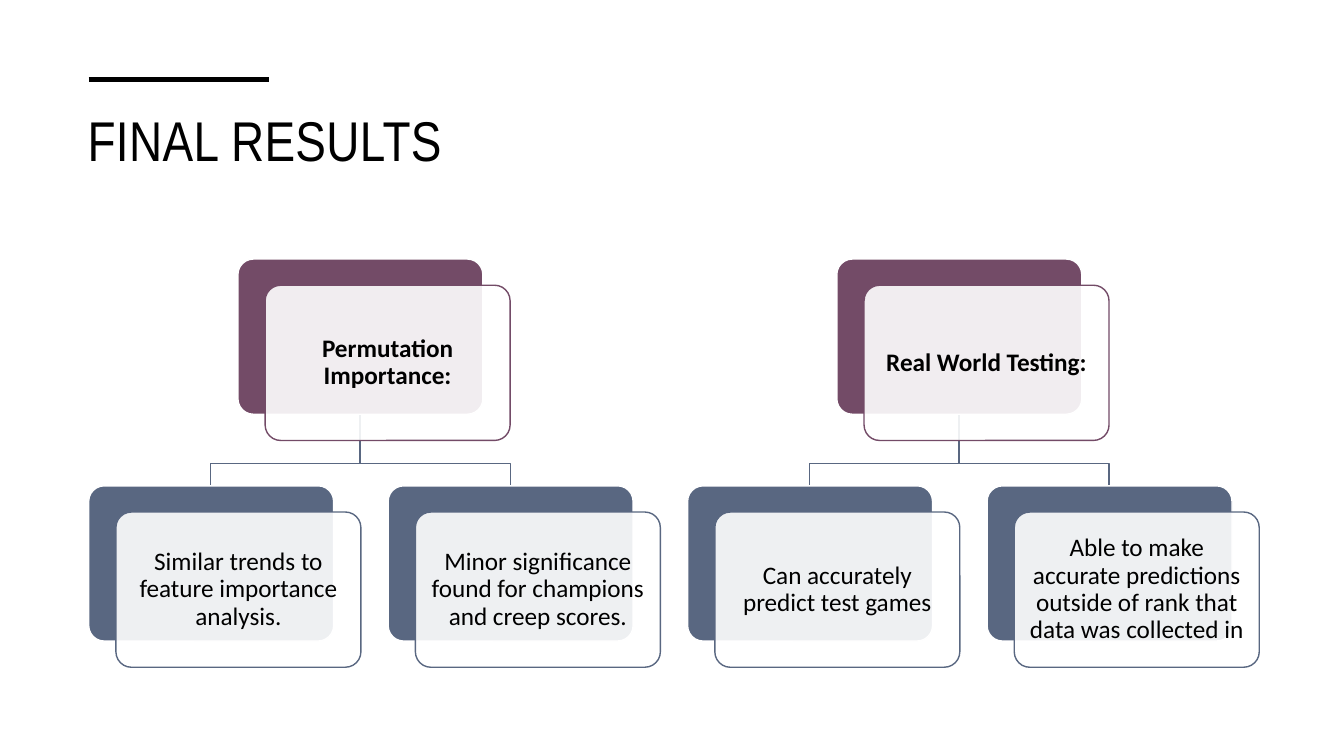
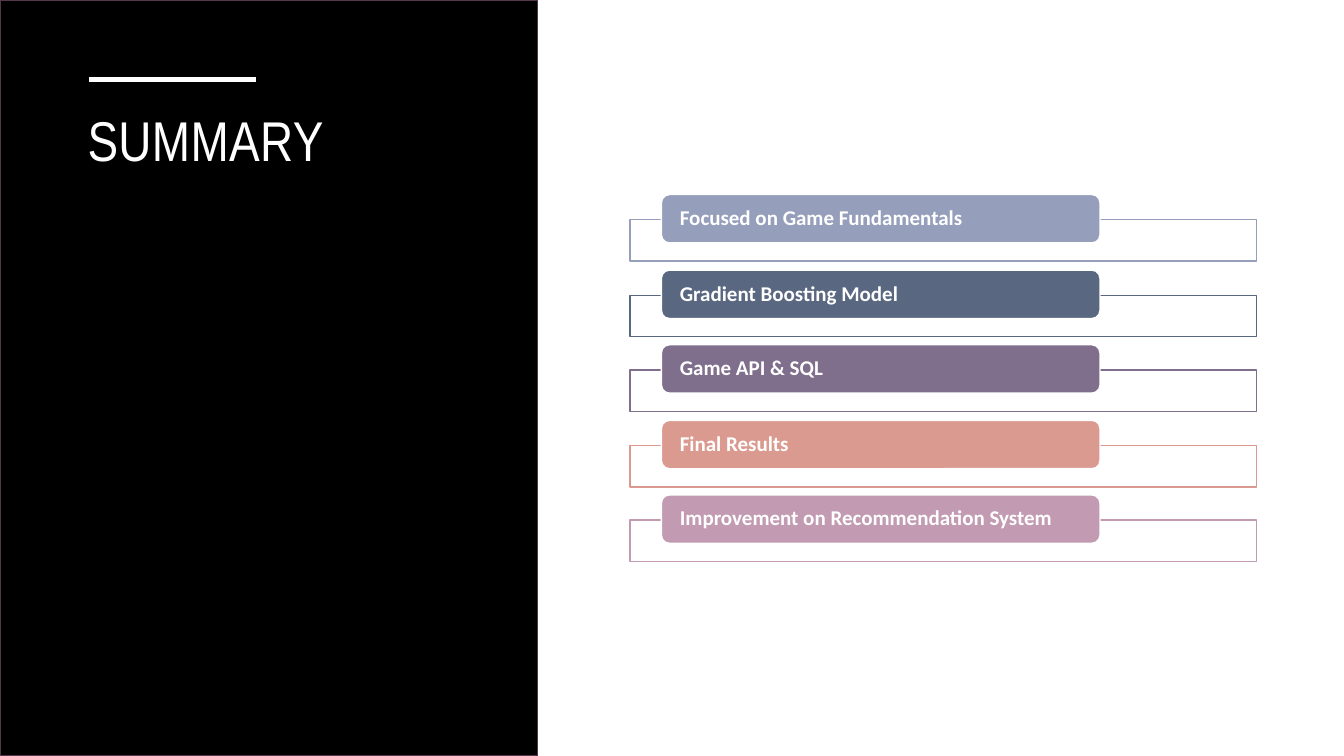
from lxml.etree import SubElement
from pptx import Presentation
from pptx.dml.color import RGBColor
from pptx.enum.shapes import MSO_CONNECTOR as Connector, MSO_SHAPE as Preset
from pptx.enum.text import MSO_ANCHOR as Anchor, PP_ALIGN as Align
from pptx.oxml.ns import qn
from pptx.util import Pt

PX = 9144
WIDTH, HEIGHT = 1333, 750
MARGIN = 88

BLACK = RGBColor(0x00, 0x00, 0x00)
WHITE = RGBColor(0xFF, 0xFF, 0xFF)
PLUM = RGBColor(0x73, 0x4B, 0x67)
DARK_PLUM = RGBColor(0x55, 0x37, 0x4C)
SLATE = RGBColor(0x59, 0x67, 0x81)
PERIWINKLE = RGBColor(0x95, 0x9E, 0xBB)
VIOLET = RGBColor(0x7F, 0x6E, 0x8C)
CORAL = RGBColor(0xDB, 0x9A, 0x8F)
MAUVE = RGBColor(0xC2, 0x9A, 0xB1)

CARD_W, CARD_H = 243, 154
CARD_STEP = 297
TOPIC_TOP, FINDING_TOP, BRANCH_Y = 257, 482, 460

FINDINGS = [
    ("Permutation Importance:", [
        "Similar trends to feature importance analysis.",
        "Minor significance found for champions and creep scores.",
    ]),
    ("Real World Testing:", [
        "Can accurately predict test games",
        "Able to make accurate predictions outside of rank that data was collected in",
    ]),
]

SUMMARY = [
    ("Focused on Game Fundamentals", PERIWINKLE),
    ("Gradient Boosting Model", SLATE),
    ("Game API & SQL", VIOLET),
    ("Final Results", CORAL),
    ("Improvement on Recommendation System", MAUVE),
]


def write(shape, text, font="Calibri", size=18, color=BLACK, bold=False, align=Align.LEFT,
          anchor=Anchor.MIDDLE, inset=(7, 7), leading=0.9, tracking=0):
    """Put one formatted paragraph into a shape."""
    frame = shape.text_frame
    frame.word_wrap = True
    frame.vertical_anchor = anchor
    frame.margin_left = frame.margin_right = inset[0] * PX
    frame.margin_top = frame.margin_bottom = inset[1] * PX
    paragraph = frame.paragraphs[0]
    paragraph.alignment = align
    paragraph.line_spacing = leading
    run = paragraph.add_run()
    run.text = text
    run.font.name = font
    run.font.size = Pt(size)
    run.font.bold = bold
    run.font.color.rgb = color
    if tracking:
        run._r.get_or_add_rPr().set("spc", str(tracking))


class Deck:
    """Hold the shared style and the slide being built."""

    def __init__(self):
        """Start an empty deck of the right size."""
        self.file = Presentation()
        self.file.slide_width = WIDTH * PX
        self.file.slide_height = HEIGHT * PX
        self.shapes = None

    def new_slide(self):
        """Add a blank slide and make it current."""
        self.shapes = self.file.slides.add_slide(self.file.slide_layouts[6]).shapes

    def title(self, text, width, rule_width, color=BLACK):
        """Add the title with its short rule above."""
        heading = self.shapes.add_textbox(77 * PX, 100 * PX, width * PX, 115 * PX)
        write(heading, text, font="Arial Narrow", size=40, color=color, anchor=Anchor.TOP,
              inset=(10, 5), leading=1.0, tracking=30)
        rule = self.shapes.add_connector(Connector.STRAIGHT, MARGIN * PX, 79 * PX,
                                         (MARGIN + rule_width) * PX, 79 * PX)
        rule.line.color.rgb = color
        rule.line.width = Pt(3.5)
        SubElement(rule._element.spPr, qn("a:effectLst"))

    def box(self, left, top, width, height, fill, line, preset=Preset.RECTANGLE,
            corner=None, opacity=100):
        """Add a filled and outlined preset shape."""
        shape = self.shapes.add_shape(preset, left * PX, top * PX, width * PX, height * PX)
        shape.shadow.inherit = False
        if corner is not None:
            shape.adjustments[0] = corner
        shape.fill.solid()
        shape.fill.fore_color.rgb = fill
        if opacity < 100:
            tint = shape._element.spPr.find(qn("a:solidFill")).find(qn("a:srgbClr"))
            SubElement(tint, qn("a:alpha"), val=str(opacity * 1000))
        shape.line.color.rgb = line
        shape.line.width = Pt(1)
        return shape

    def card(self, left, top, text, color, bold=False):
        """Add a coloured card with a translucent text card over it."""
        rounded = {"preset": Preset.ROUNDED_RECTANGLE, "corner": 0.1}
        self.box(left, top, CARD_W, CARD_H, color, WHITE, **rounded)
        front = self.box(left + 27, top + 26, CARD_W, CARD_H, WHITE, color,
                         opacity=90, **rounded)
        write(front, text, bold=bold, align=Align.CENTER)

    def branch(self, topic_left, finding_left):
        """Add the stepped line from a topic card to a finding card."""
        start, end = topic_left + CARD_W // 2, finding_left + CARD_W // 2
        top = TOPIC_TOP + CARD_H
        outline = self.shapes.build_freeform(start, top, scale=PX)
        outline.add_line_segments([(start, BRANCH_Y), (end, BRANCH_Y), (end, FINDING_TOP)],
                                  close=False)
        step = outline.convert_to_shape()
        step.shadow.inherit = False
        step.fill.background()
        step.line.color.rgb = SLATE
        step.line.width = Pt(1)

    def tab(self, top, text, color):
        """Add an outlined row with a coloured label on its top edge."""
        self.box(625, top + 25, 621, 41, WHITE, color, opacity=90)
        label = self.box(656, top, 435, 48, color, WHITE, preset=Preset.ROUNDED_RECTANGLE)
        write(label, text, size=15, color=WHITE, bold=True, inset=(16, 0))


def final_results(deck):
    """Build the two trees of findings."""
    deck.new_slide()
    deck.title("FINAL RESULTS", 1181, 179)
    trees = []
    for index, (topic, findings) in enumerate(FINDINGS):
        lefts = [MARGIN + CARD_STEP * (2 * index + side) for side in range(len(findings))]
        trees.append((topic, sum(lefts) // len(lefts), list(zip(findings, lefts))))
    for _, topic_left, findings in trees:
        for _, left in findings:
            deck.branch(topic_left, left)
    for topic, topic_left, findings in trees:
        deck.card(topic_left, TOPIC_TOP, topic, PLUM, bold=True)
        for finding, left in findings:
            deck.card(left, FINDING_TOP, finding, SLATE)


def summary(deck):
    """Build the list of summary points beside the dark panel."""
    deck.new_slide()
    deck.box(0, 0, 533, HEIGHT, BLACK, DARK_PLUM)
    deck.title("SUMMARY", 407, 166, color=WHITE)
    for index, (point, color) in enumerate(SUMMARY):
        deck.tab((387 + 149 * index) // 2, point, color)


def main():
    """Build and save the deck."""
    deck = Deck()
    final_results(deck)
    summary(deck)
    deck.file.save("out.pptx")


if __name__ == "__main__":
    main()
